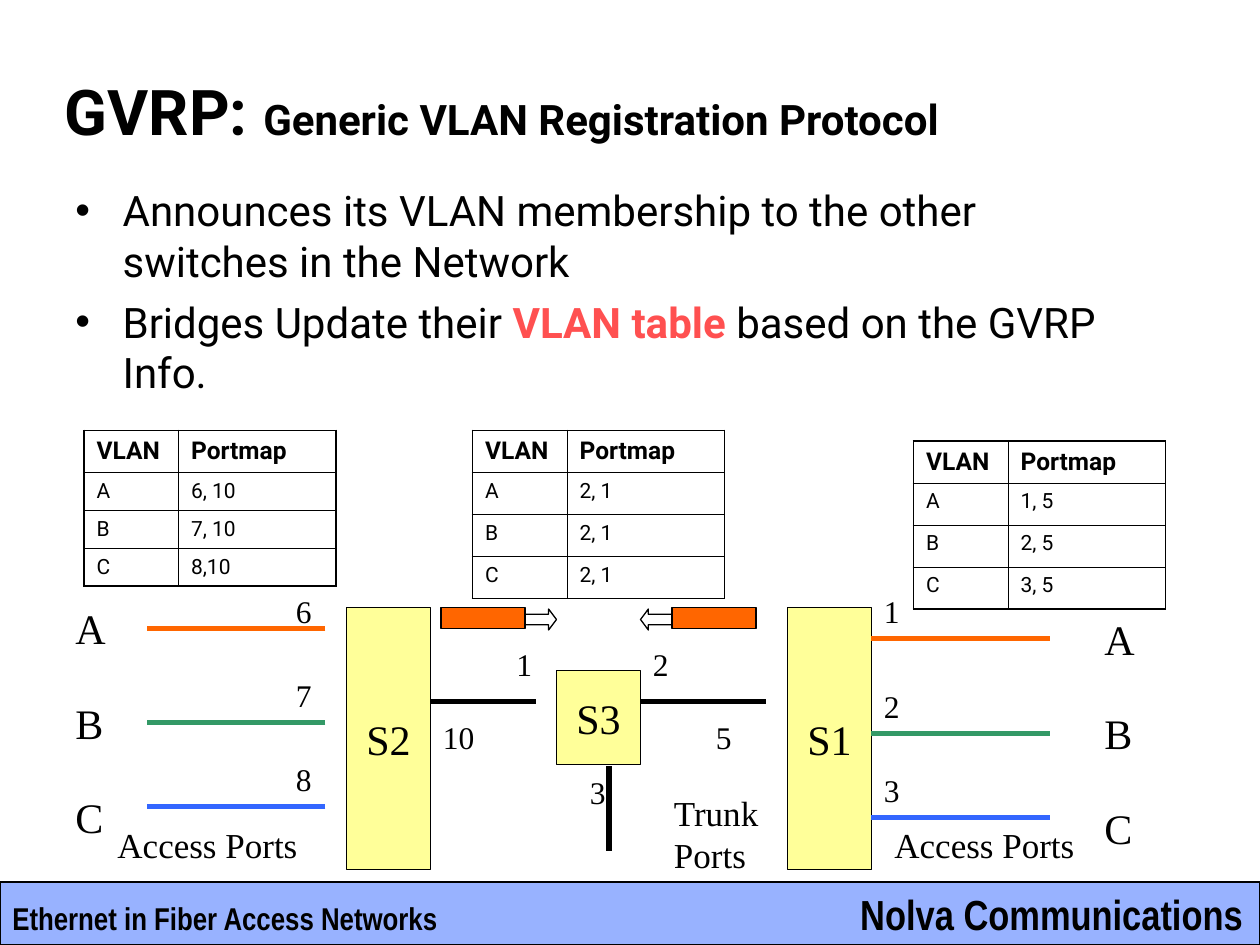
from pptx import Presentation
from pptx.dml.color import RGBColor
from pptx.enum.shapes import MSO_CONNECTOR, MSO_SHAPE as SHAPE
from pptx.enum.text import MSO_ANCHOR as ANCHOR, PP_ALIGN as ALIGN
from pptx.oxml import parse_xml
from pptx.oxml.ns import nsdecls, qn
from pptx.util import Pt
from lxml.etree import SubElement

rgb = RGBColor.from_string
SERIF, SANS, NARROW = "Times New Roman", "Roboto", "Arial Narrow"
ORANGE, GREEN, BLUE, YELLOW, BLACK = "FF6600", "339966", "3366FF", "FFFF99", "000000"

prs = Presentation()
prs.slide_width, prs.slide_height = Pt(720), Pt(540)
s = prs.slides.add_slide(prs.slide_layouts[6])


def add_text(text, p=None, at=None, size=24, font=SERIF, color=BLACK, bold=False, wrap=True):
    """Add a run to paragraph p, or to a new text box at (left, top, width, height)."""
    if p is None:
        tf = s.shapes.add_textbox(*map(Pt, at)).text_frame
        tf.word_wrap = wrap
        p = tf.paragraphs[0]
    r = p.add_run()
    r.text = text
    r.font.size, r.font.name, r.font.bold = Pt(size), font, bold
    r.font.color.rgb = rgb(color)
    return p


def add_box(kind, at, fill=None):
    """Add a preset shape with a thin black outline."""
    sp = s.shapes.add_shape(kind, *map(Pt, at))
    sp.shadow.inherit = False
    if fill:
        sp.fill.solid()
        sp.fill.fore_color.rgb = rgb(fill)
    else:
        sp.fill.background()
    sp.line.color.rgb = rgb(BLACK)
    sp.line.width = Pt(0.75)
    return sp


# Footer band, half transparent
band = add_box(SHAPE.RECTANGLE, (0, 504, 720, 36), BLUE)
clr = band.fill._xPr.find(qn("a:solidFill"))[0]
SubElement(clr, qn("a:alpha"), val="50000")
add_text("Nolva Communications", at=(484.5, 504, 235.5, 36), font=NARROW, bold=True, wrap=False)
add_text("Ethernet in Fiber Access Networks", at=(0, 510, 258, 29), size=18, font=NARROW,
         bold=True, wrap=False)

# Title
p = add_text("GVRP: ", at=(30, 36, 612, 54), size=36, font=SANS, bold=True)
add_text("Generic VLAN Registration Protocol", p, font=SANS, bold=True)
s.shapes[-1].text_frame.vertical_anchor = ANCHOR.MIDDLE

# Bullets
tf = s.shapes.add_textbox(Pt(36), Pt(102), Pt(612), Pt(54)).text_frame
tf.word_wrap = True
first, second = tf.paragraphs[0], tf.add_paragraph()
second.space_before = Pt(6)
for p in (first, second):
    pPr = p._p.get_or_add_pPr()
    pPr.set("marL", str(Pt(27)))
    pPr.set("indent", str(Pt(-27)))
    SubElement(pPr, qn("a:buFont"), typeface="Arial")
    SubElement(pPr, qn("a:buChar"), char="•")
add_text("Announces its VLAN membership to the other switches in the Network", first, font=SANS)
add_text("Bridges Update their ", second, font=SANS)
add_text("VLAN table", second, font=SANS, color="FF5050", bold=True)
add_text(" based on the GVRP Info.", second, font=SANS)

# VLAN tables: left, top, body row height, port maps for A, B, C
for left, top, row_h, ports in (
    (48, 246, 21.6, ("6, 10", "7, 10", "8,10")),
    (270, 246, 24, ("2, 1", "2, 1", "2, 1")),
    (522, 252, 24, ("1, 5", "2, 5", "3, 5")),
):
    rows = [("VLAN", "Portmap"), *zip("ABC", ports)]
    tbl = s.shapes.add_table(4, 2, Pt(left), Pt(top), Pt(144), Pt(24 + 3 * row_h)).table
    tbl.first_row = tbl.horz_banding = False
    tbl.columns[0].width, tbl.columns[1].width = Pt(54), Pt(90)
    for i, row in enumerate(rows):
        tbl.rows[i].height = Pt(row_h if i else 24)
        for j, text in enumerate(row):
            cell = tbl.cell(i, j)
            cell.fill.background()
            add_text(text, cell.text_frame.paragraphs[0], size=12 if i else 14,
                     font=SANS, bold=i == 0)
            # Outer edges are heavier than inner ones
            edges = (("L", j == 0), ("R", j == 1), ("T", i == 0), ("B", i == 3))
            for k, (side, outer) in enumerate(edges):
                cell._tc.get_or_add_tcPr().insert(k, parse_xml(
                    f'<a:ln{side} {nsdecls("a")} w="{Pt(1.08 if outer else 0.45)}">'
                    f'<a:solidFill><a:srgbClr val="{BLACK}"/></a:solidFill></a:ln{side}>'))

# Switches
for name, at in (
    ("S2", (198, 347, 48, 150)),
    ("S1", (450, 347, 48, 150)),
    ("S3", (318, 383, 48, 54)),
):
    tf = add_box(SHAPE.RECTANGLE, at, YELLOW).text_frame
    tf.word_wrap = False
    tf.vertical_anchor = ANCHOR.MIDDLE
    tf.paragraphs[0].alignment = ALIGN.CENTER
    add_text(name, tf.paragraphs[0])

# GVRP frames and their directions
for frame_x, arrow_x, kind in ((252, 300, SHAPE.RIGHT_ARROW), (384, 366, SHAPE.LEFT_ARROW)):
    add_box(SHAPE.RECTANGLE, (frame_x, 347, 48, 12), ORANGE)
    arrow = add_box(kind, (arrow_x, 348, 18, 12))
    arrow.adjustments[0], arrow.adjustments[1] = 0.5, 0.375

# Trunk and access links
links = [(246, 401, 306, 401, BLACK), (366, 401, 438, 401, BLACK), (348, 438, 348, 486, BLACK)]
for x, dy in ((84, 0), (498, 6)):
    for y, color in ((359, ORANGE), (413, GREEN), (461, BLUE)):
        links.append((x + 102, y + dy, x, y + dy, color))
for *ends, color in links:
    line = s.shapes.add_connector(MSO_CONNECTOR.STRAIGHT, *map(Pt, ends))
    line.line.color.rgb = rgb(color)
    line.line.width = Pt(3)
    SubElement(line._element.spPr, qn("a:effectLst"))

# VLAN names on both sides
for x, y in ((36, 341), (624, 347)):
    for i, name in enumerate("ABC"):
        add_text(name, at=(x, y + 54 * i, 31, 36), wrap=False)

# Port numbers
for text, x, y, w in (
    ("6", 162, 335, 24), ("7", 162, 383, 24), ("8", 162, 431, 24),
    ("1", 498, 335, 24), ("2", 498, 389, 24), ("3", 498, 437, 24),
    ("10", 246, 407, 36), ("5", 402, 407, 36),
    ("1", 288, 365, 18), ("2", 366, 365, 18), ("3", 330, 438, 18),
):
    add_text(text, at=(x, y, w, 29), size=18)

# Port captions
for x in (60, 504):
    add_text("Access Ports", at=(x, 467, 120, 32), size=20)
add_text("Trunk", at=(378, 449, 68, 55), size=20)
add_text("Ports", s.shapes[-1].text_frame.add_paragraph(), size=20)

prs.save("out.pptx")
